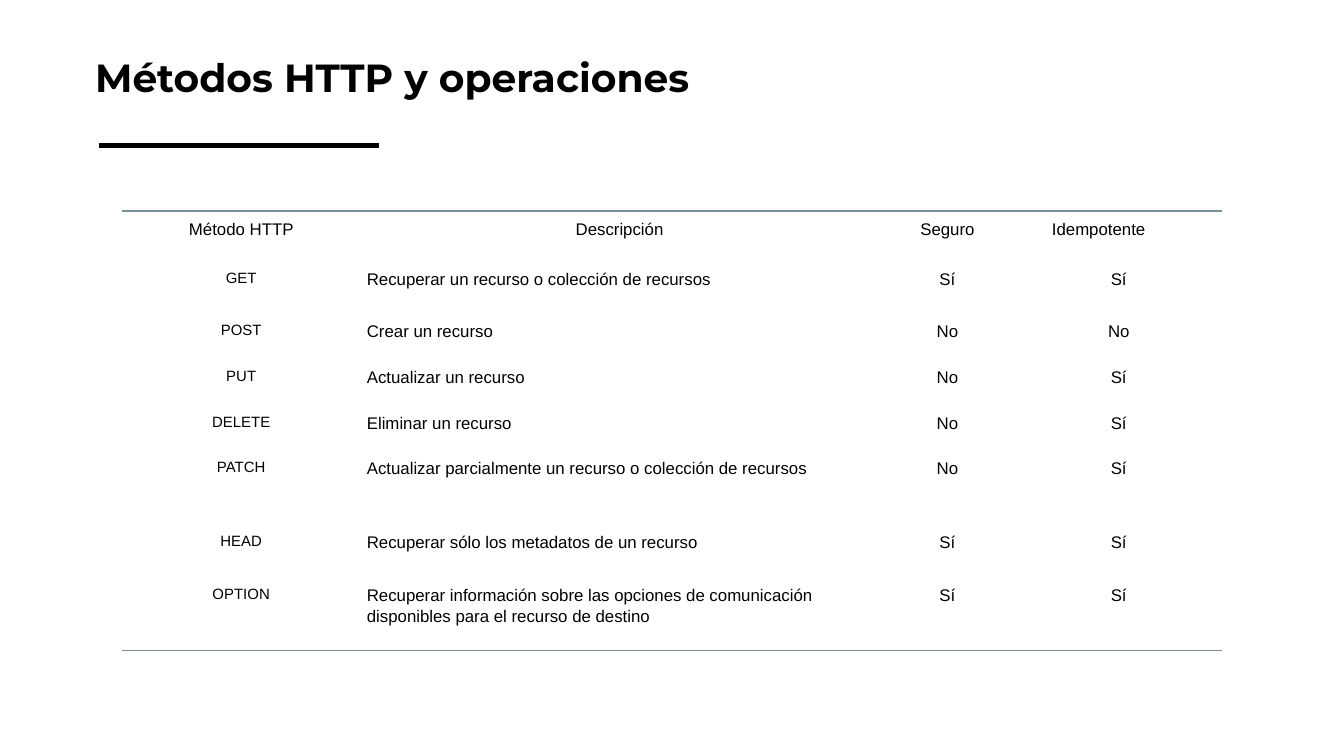
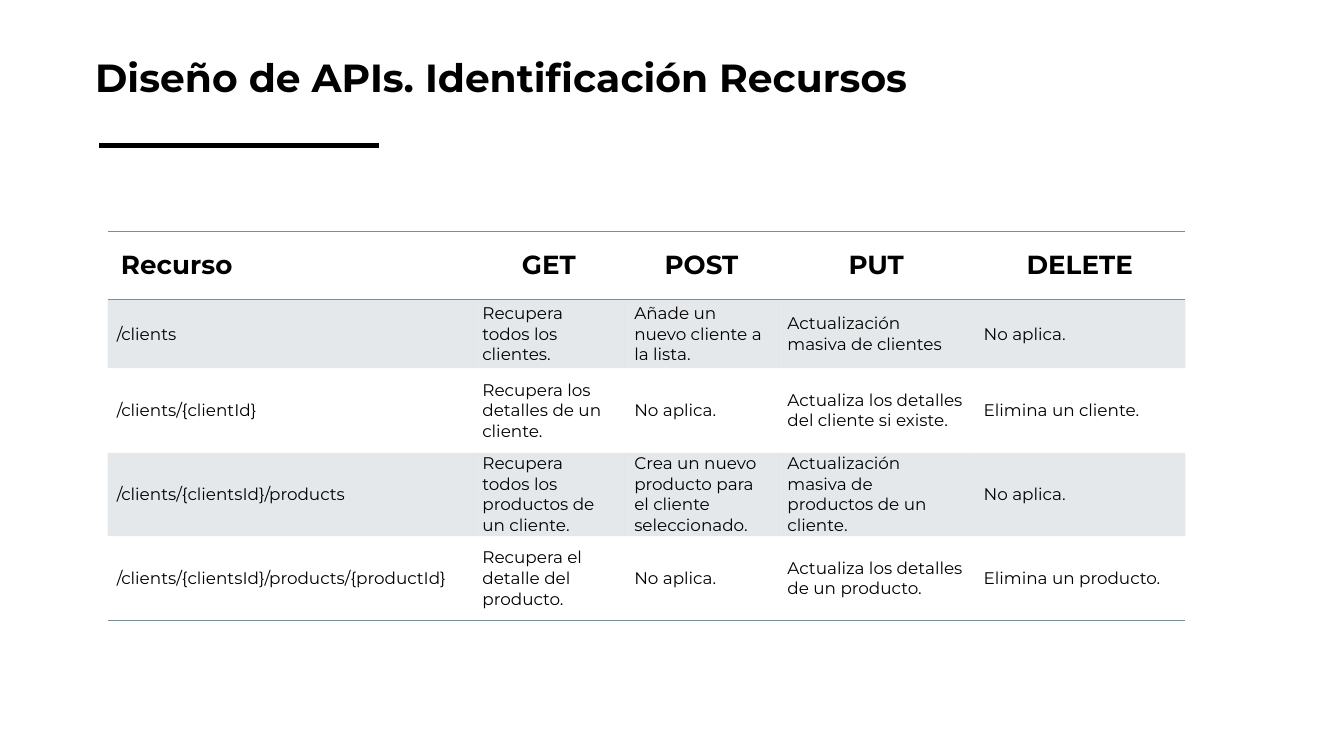
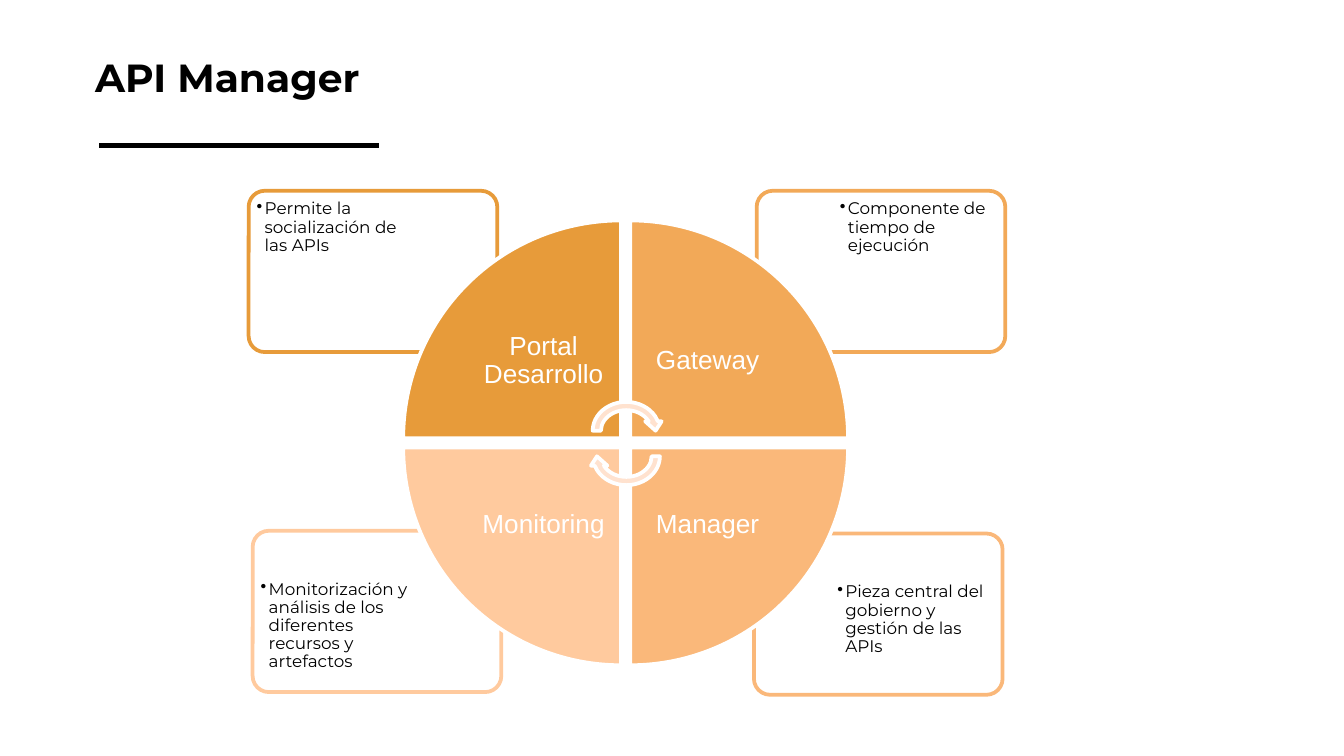
from lxml import etree
from pptx import Presentation
from pptx import util as u
from pptx.dml.color import RGBColor
from pptx.enum import shapes, text
from pptx.oxml.ns import qn

HUES = {"ink": "000000", "paper": "FFFFFF", "rule": "78909C", "arrow": "FFE2CF",
        "portal": "E79B3A", "gate": "F2A958", "admin": "FAB87A", "watch": "FFCA9E"}
SANS, BRAND = "Arial", "Montserrat"
PLAIN = "{2D5ABB26-0587-4C30-8999-92F81FD0307C}"
MID, LEFT = text.PP_ALIGN.CENTER, text.PP_ALIGN.LEFT
TOP, HALF = text.MSO_ANCHOR.TOP, text.MSO_ANCHOR.MIDDLE

VERBS = [
    ("Método HTTP", "Descripción", "Seguro", "Idempotente"),
    ("GET", "Recuperar un recurso o colección de recursos", "Sí", "Sí"),
    ("POST", "Crear un recurso", "No", "No"),
    ("PUT", "Actualizar un recurso", "No", "Sí"),
    ("DELETE", "Eliminar un recurso", "No", "Sí"),
    ("PATCH", "Actualizar parcialmente un recurso o colección de recursos", "No", "Sí"),
    ("HEAD", "Recuperar sólo los metadatos de un recurso", "Sí", "Sí"),
    ("OPTION", "Recuperar información sobre las opciones de comunicación "
               "disponibles para el recurso de destino", "Sí", "Sí"),
]
PATHS = [
    ("Recurso", "GET", "POST", "PUT", "DELETE"),
    ("/clients", "Recupera todos los clientes.", "Añade un nuevo cliente a la lista.",
     "Actualización masiva de clientes", "No aplica."),
    ("/clients/{clientId}", "Recupera los detalles de un cliente.", "No aplica.",
     "Actualiza los detalles del cliente si existe.", "Elimina un cliente."),
    ("/clients/{clientsId}/products", "Recupera todos los productos de un cliente.",
     "Crea un nuevo producto para el cliente seleccionado.",
     "Actualización masiva de productos de un cliente.", "No aplica."),
    ("/clients/{clientsId}/products/{productId}", "Recupera el detalle del producto.",
     "No aplica.", "Actualiza los detalles de un producto.", "Elimina un producto."),
]
PARTS = [
    ("Portal Desarrollo", "Permite la socialización de las APIs", "portal", 0, 0, (1.85, 1.42)),
    ("Gateway", "Componente de tiempo de ejecución", "gate", 1, 0, (5.63, 1.42)),
    ("Manager", "Pieza central del gobierno y gestión de las APIs", "admin", 1, 1, (5.61, 3.97)),
    ("Monitoring", "Monitorización y análisis de los diferentes recursos y artefactos",
     "watch", 0, 1, (1.88, 3.95)),
]


def rgb(hue):
    return RGBColor.from_string(HUES[hue])


def box(*sides):
    return [u.Inches(side) for side in sides]


def fade(fill, share):
    tint = fill._xPr.find(qn("a:solidFill"))[0]
    etree.SubElement(tint, qn("a:alpha")).set("val", str(share * 1000))


def write(par, words, size, face, hue="ink", bold=False, align=LEFT, lead=1.0):
    par.text = words
    par.alignment, par.line_spacing = align, lead
    font = par.font
    font.size, font.name, font.bold = u.Pt(size), face, bold
    font.color.rgb = rgb(hue)


def pad(item, x, y):
    item.margin_left = item.margin_right = u.Inches(x)
    item.margin_top = item.margin_bottom = u.Inches(y)


def label(slide, area, inset, anchor=TOP):
    frame = slide.shapes.add_textbox(*box(*area)).text_frame
    frame.word_wrap = True
    frame.vertical_anchor = anchor
    pad(frame, inset, inset)
    return frame


def shape(slide, kind, area, fill, line, turn=0):
    item = slide.shapes.add_shape(kind, *box(*area))
    item.shadow.inherit = False
    item.fill.solid()
    item.fill.fore_color.rgb = rgb(fill)
    item.line.color.rgb = rgb(line)
    item.line.width = u.Pt(2)
    item.rotation = turn
    return item


def start(deck, title):
    slide = deck.slides.add_slide(deck.slide_layouts[6])
    frame = label(slide, (0.61, 0.24, 6.57, 0.61), 0.1, HALF)
    frame.auto_size = text.MSO_AUTO_SIZE.SHAPE_TO_FIT_TEXT
    write(frame.paragraphs[0], title, 21, BRAND, bold=True, lead=1.15)
    bar = slide.shapes.add_connector(shapes.MSO_CONNECTOR.STRAIGHT, *box(0.74, 1.08, 2.82, 1.08))
    bar.line.color.rgb = rgb("ink")
    bar.line.width = u.Pt(2.75)
    etree.SubElement(bar._element.spPr, qn("a:effectLst"))
    return slide


def edge(cell, sides):
    props = cell._tc.get_or_add_tcPr()
    for spot, side in enumerate(sides):
        line = etree.Element(qn("a:ln" + side), w=str(u.Pt(0.75)))
        fill = etree.SubElement(line, qn("a:solidFill"))
        etree.SubElement(fill, qn("a:srgbClr"), val=HUES["rule"])
        props.insert(spot, line)


def table(slide, spot, cols, rows, data, style):
    area = box(*spot, sum(cols), sum(rows))
    grid = slide.shapes.add_table(len(rows), len(cols), *area).table
    grid.first_row = grid.horz_banding = False
    grid._tbl.tblPr.find(qn("a:tableStyleId")).text = PLAIN
    for col, wide in zip(grid.columns, cols):
        col.width = u.Inches(wide)
    for r, (row, high) in enumerate(zip(grid.rows, rows)):
        row.height = u.Inches(high)
        for c, cell in enumerate(row.cells):
            cell.fill.background()
            style(cell, data[r][c], r, c)
    return grid


def verb(cell, words, r, c):
    pad(cell, 0.05, 0.05)
    write(cell.text_frame.paragraphs[0], words, 8 if r and c == 0 else 9, SANS,
          align=LEFT if r and c == 1 else MID, lead=1.15)
    edge(cell, {0: "T", len(VERBS) - 1: "B"}.get(r, ""))


def route(cell, words, r, c):
    cell.vertical_anchor = HALF
    par = cell.text_frame.paragraphs[0]
    if r:
        pad(cell, 0.07, 0)
        write(par, words, 9, BRAND)
        par.space_after = u.Pt(12)
    else:
        write(par, words, 14, BRAND, bold=True, align=MID if c else LEFT)
    if r % 2:
        cell.margin_right = u.Inches(0.1)
        cell.fill.solid()
        cell.fill.fore_color.rgb = rgb("rule")
        fade(cell.fill, 20)
    edge(cell, {0: "TB", len(PATHS) - 1: "B"}.get(r, ""))


def note(slide, words, hue, right, low, spot):
    x, y = spot
    card = shape(slide, shapes.MSO_SHAPE.ROUNDED_RECTANGLE, (x, y, 1.85, 1.2), "paper", hue)
    card.adjustments[0] = 0.1
    fade(card.fill, 90)
    frame = label(slide, (x + (0.58 if right else 0.02), y + (0.33 if low else 0.03),
                          1.24, 0.85), 0.04)
    par = frame.paragraphs[0]
    par.level = 1
    props = par._p.get_or_add_pPr()
    props.set("marL", str(u.Inches(0.06)))
    props.set("indent", str(-u.Inches(0.06)))
    tint = etree.SubElement(props, qn("a:buClr"))
    etree.SubElement(tint, qn("a:srgbClr"), val=HUES["ink"])
    etree.SubElement(props, qn("a:buChar"), char="•")
    write(par, words, 9, BRAND, lead=0.9)


def wheel(slide):
    side, inner, step = 1.62, 1.15, 1.69
    for name, words, hue, right, low, spot in reversed(PARTS):
        note(slide, words, hue, right, low, spot)
    for turn, (name, words, hue, right, low, spot) in enumerate(PARTS):
        x, y = 3 + right * step, 1.64 + low * step
        shape(slide, shapes.MSO_SHAPE.PIE_WEDGE, (x, y, side, side), hue, "paper", turn * 90)
        shift = side - inner
        frame = label(slide, (x + shift * (1 - right), y + shift * (1 - low), inner, inner),
                      0.11, HALF)
        write(frame.paragraphs[0], name, 14, SANS, "paper", align=MID, lead=0.9)
    for y, turn in ((2.96, 0), (3.15, 180)):
        shape(slide, shapes.MSO_SHAPE.CIRCULAR_ARROW, (4.38, y, 0.56, 0.49),
              "arrow", "paper", turn)


def main():
    deck = Presentation()
    deck.slide_width = u.Inches(10)
    deck.slide_height = deck.slide_width * 9 // 16
    grid = table(start(deck, "Métodos HTTP y operaciones"), (0.91, 1.57),
                 (1.77, 3.86, 1.02, 1.53),
                 (0.37, 0.39, 0.34, 0.34, 0.34, 0.55, 0.39, 0.55), VERBS, verb)
    grid.cell(0, 3).margin_right = u.Inches(0.35)
    table(start(deck, "Diseño de APIs. Identificación Recursos"), (0.8, 1.72),
          (2.72, 1.13, 1.14, 1.46, 1.57), (0.51, 0.51, 0.63, 0.62, 0.63), PATHS, route)
    wheel(start(deck, "API Manager"))
    deck.save("out.pptx")


if __name__ == "__main__":
    main()
